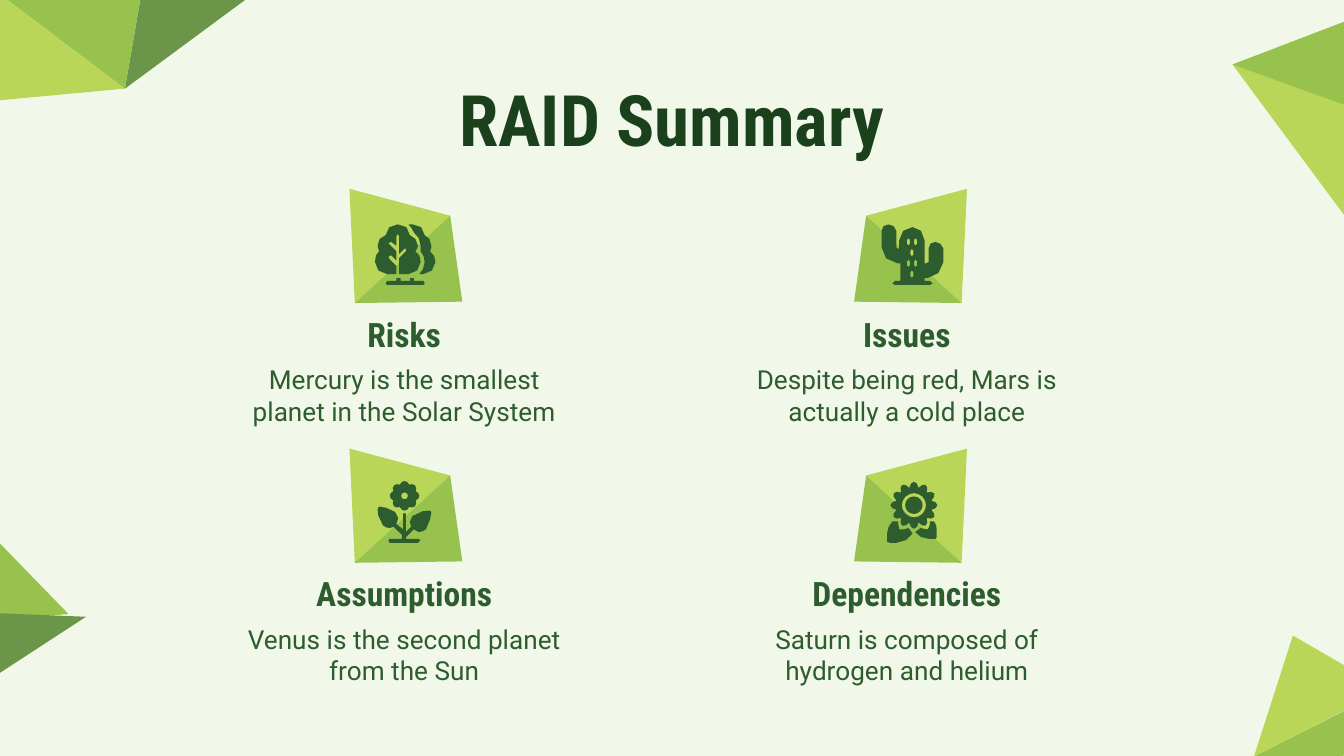
from math import cos, dist, pi, sin

from pptx import Presentation
from pptx.dml.color import RGBColor
from pptx.enum.text import MSO_ANCHOR as Anchor, PP_ALIGN as Align
from pptx.util import Cm, Pt

UNIT = Cm(0.0254)  # drawing grid: one hundredth of an inch
PAPER, LIME, LEAF, MOSS = "F2F8E9", "B9D658", "96C24D", "6B964A"
INK, TITLE_INK = "2D5C2E", "1A411B"

TITLE = "RAID Summary"
# heading, body, column, row
TOPICS = [
    ("Risks", "Mercury is the smallest planet in the Solar System", 0, 0),
    ("Issues", "Despite being red, Mars is actually a cold place", 1, 0),
    ("Assumptions", "Venus is the second planet from the Sun", 0, 1),
    ("Dependencies", "Saturn is composed of hydrogen and helium", 1, 1),
]
COLUMN_CENTRES = (7.64, 17.14)  # cm
ROW_STEP = 4.91  # cm
MIRROR = 979.5  # sum of x for a left tile point and its right twin

# Corner facets
FACETS = [
    (LEAF, [(980, 599), (1024, 517), (933, 563)]),
    (LIME, [(1059, 80), (1003, 164), (917, 48)]),
    (LEAF, [(1053, -4), (1053, 97), (917, 48)]),
    (LIME, [(962, 473), (933, 563), (1031, 513)]),
    (MOSS, [(219, -27), (118, -79), (93, 66)]),
    (LEAF, [(93, 66), (118, -79), (-5, -8)]),
    (LIME, [(93, 66), (-15, 76), (-5, -8)]),
    (LEAF, [(-29, 463), (-15, 389), (51, 457)]),
    (MOSS, [(-25, 517), (-34, 455), (64, 459)]),
]
# Icon tile in the first cell
TILE = [
    (LIME, [(335, 160.5), (260, 140.5), (264, 225.5)]),
    (LEAF, [(335, 160.5), (344, 224.5), (264, 225.5)]),
]

# Icon outlines: L starts straight segments, C starts cubic curves
FRONT_TREE = """L 296,167 C 291,167 287,170 287,175 283,176 281,179 281,183
 281,184 282,186 282,187 280,189 279,191 279,195 279,200 283,204 288,204
 L 295,204 295,198 290,193 289,191 291,190 295,194 295,187 290,182 289,181
 291,180 295,183 295,176 296,174 297,176 297,189 301,185 302,185 302,187
 297,192 297,204 304,204
 C 309,204 313,200 313,195 313,191 312,189 309,187 310,186 311,184 311,183
 311,179 308,176 305,175 305,170 301,167 296,167"""
BACK_TREE = """L 307,167 304,167 C 306,169 307,171 308,173
 311,175 313,179 313,183 L 313,187 C 315,189 316,192 316,195
 316,199 314,202 312,204 L 315,204 C 320,204 324,200 324,195
 324,192 323,189 320,187 321,186 321,184 321,183 321,179 319,176 316,175
 316,170 312,167 307,167"""
GROUND = """L 295,207 295,209 288,209 287,211 288,212 315,212 316,211
 315,209 308,209 308,207 305,207 305,209 298,209 298,207"""
STEM = """L 282,377 281,379 C 281,379 281,387 285,391
 286,392 288,393 290,393 L 293,392 299,398 299,401 290,401 289,402 290,404
 311,404 313,402 311,401 302,401 302,400 308,394
 C 310,395 311,396 312,396 314,396 315,395 317,394 320,390 321,382 321,381
 L 320,380 C 319,380 311,380 307,384 305,387 304,390 306,392
 L 302,396 302,382 300,382 300,394 295,390
 C 297,387 297,384 294,381 291,378 283,377 282,377"""
CACTUS = """L 661,167 C 658,167 656,169 656,172 L 656,184
 C 656,190 661,196 668,196 L 670,196 670,209 666,209 664,211 666,212
 692,212 694,211 692,209 688,209 688,207 690,207
 C 696,207 702,201 702,195 L 702,185 C 701,182 699,180 696,180
 693,180 691,182 691,185 L 691,195 689,196
 688,196 688,179 C 688,173 684,169 679,169 674,169 669,173 669,179
 L 669,185 668,185 667,184 667,172 C 667,169 664,167 661,167"""
CACTUS_SEEDS = [(676, 180), (681.3, 180), (678.6, 188),
                (676, 196), (681.3, 196), (678.6, 204)]
LEFT_SEPAL = """L 664,388 C 662,390 660,394 660,397 L 660,403 662,404 667,404
 C 672,404 677,401 679,397 L 676,393 C 674,394 672,394 671,394
 L 669,394 C 669,392 668,390 668,388 L 664,388"""
RIGHT_SEPAL = """L 695,388 692,388 C 692,390 692,391 691,393
 L 690,394 C 688,394 686,393 685,393 L 681,396
 C 683,399 687,401 691,401 L 696,401 697,400 697,395
 C 697,392 697,390 695,388"""


def color(value):
    return RGBColor.from_string(value)


def trace(outline):
    """Turn an outline into points; a long curve also gets its midpoint."""
    points, mode, controls = [], "L", []
    for token in outline.split():
        if token in "LC":
            mode = token
            continue
        point = tuple(int(n) for n in token.split(","))
        if mode == "L":
            points.append(point)
            continue
        controls.append(point)
        if len(controls) == 3:
            a, (b, c, d) = points[-1], controls
            if dist(a, d) > 4:
                points.append(tuple((a[i] + 3 * b[i] + 3 * c[i] + d[i]) / 8 for i in (0, 1)))
            points.append(d)
            controls = []
    return points


def ring(cx, cy, rx, ry, steps=16, petals=0, depth=0):
    """An ellipse, or a flower rim whose petals rise by depth."""
    points = []
    for step in range(steps):
        angle = 2 * pi * step / steps
        rise = depth * abs(cos(petals * angle / 2))
        points.append((cx + (rx + rise) * sin(angle), cy - (ry + rise) * cos(angle)))
    return points


def add_outline(slide, fill, *contours):
    scaled = [[(x * UNIT, y * UNIT) for x, y in contour] for contour in contours]
    builder = slide.shapes.build_freeform(*scaled[0][0])
    builder.add_line_segments(scaled[0][1:])
    for hole in scaled[1:]:
        builder.move_to(*hole[0])
        builder.add_line_segments(hole[1:])
    outline = builder.convert_to_shape()
    outline.shadow.inherit = False
    outline.fill.solid()
    outline.fill.fore_color.rgb = color(fill)
    outline.line.fill.background()


def add_text(slide, text, *, centre, top, width, height, size,
             font="Roboto", ink=INK, bold=False):
    box = slide.shapes.add_textbox(Cm(centre - width / 2), Cm(top), Cm(width), Cm(height))
    frame = box.text_frame
    frame.word_wrap = True
    frame.vertical_anchor = Anchor.MIDDLE
    frame.margin_left = frame.margin_right = Cm(0.25)
    frame.margin_top = frame.margin_bottom = Cm(0.25)
    paragraph = frame.paragraphs[0]
    paragraph.alignment = Align.CENTER
    run = paragraph.add_run()
    run.text = text
    run.font.name, run.font.size, run.font.bold = font, Pt(size), bold
    run.font.color.rgb = color(ink)


def main():
    deck = Presentation()
    deck.slide_width, deck.slide_height = Cm(25.4), Cm(14.29)
    slide = deck.slides.add_slide(deck.slide_layouts[6])
    slide.background.fill.solid()
    slide.background.fill.fore_color.rgb = color(PAPER)

    # Corner decoration and title
    for fill, corners in FACETS:
        add_outline(slide, fill, corners)
    add_text(slide, TITLE, centre=12.7, top=1.22, width=22.12, height=2.01,
             size=38, font="Roboto Condensed", ink=TITLE_INK, bold=True)

    # Topics with their tiles; right-hand tiles are mirrored
    for heading, body, column, row in TOPICS:
        centre, drop = COLUMN_CENTRES[column], row * ROW_STEP
        add_text(slide, heading, centre=centre, top=5.74 + drop, width=5.06, height=1.14,
                 size=18, font="Roboto Condensed", bold=True)
        add_text(slide, body, centre=centre, top=6.65 + drop, width=7.01, height=1.63, size=14)
        for fill, corners in TILE:
            add_outline(slide, fill, [(MIRROR - x if column else x, y + drop * Cm(1) / UNIT)
                                      for x, y in corners])

    # Icons: trees, cactus, flower, sunflower
    for outline in (FRONT_TREE, BACK_TREE, GROUND, STEM, LEFT_SEPAL, RIGHT_SEPAL):
        add_outline(slide, INK, trace(outline))
    seeds = [ring(x, y, 1.3, 2.8, steps=6) for x, y in CACTUS_SEEDS]
    add_outline(slide, INK, trace(CACTUS), *seeds)
    add_outline(slide, INK, ring(301, 369, 9, 9, steps=32, petals=8, depth=2),
                ring(301, 369, 2.6, 2.6, steps=8))
    add_outline(slide, INK, ring(680, 376, 13.4, 13.4, steps=48, petals=12, depth=4.1),
                ring(680, 376, 9, 9))
    add_outline(slide, INK, ring(680, 376, 6.5, 6.5))

    deck.save("out.pptx")


if __name__ == "__main__":
    main()
